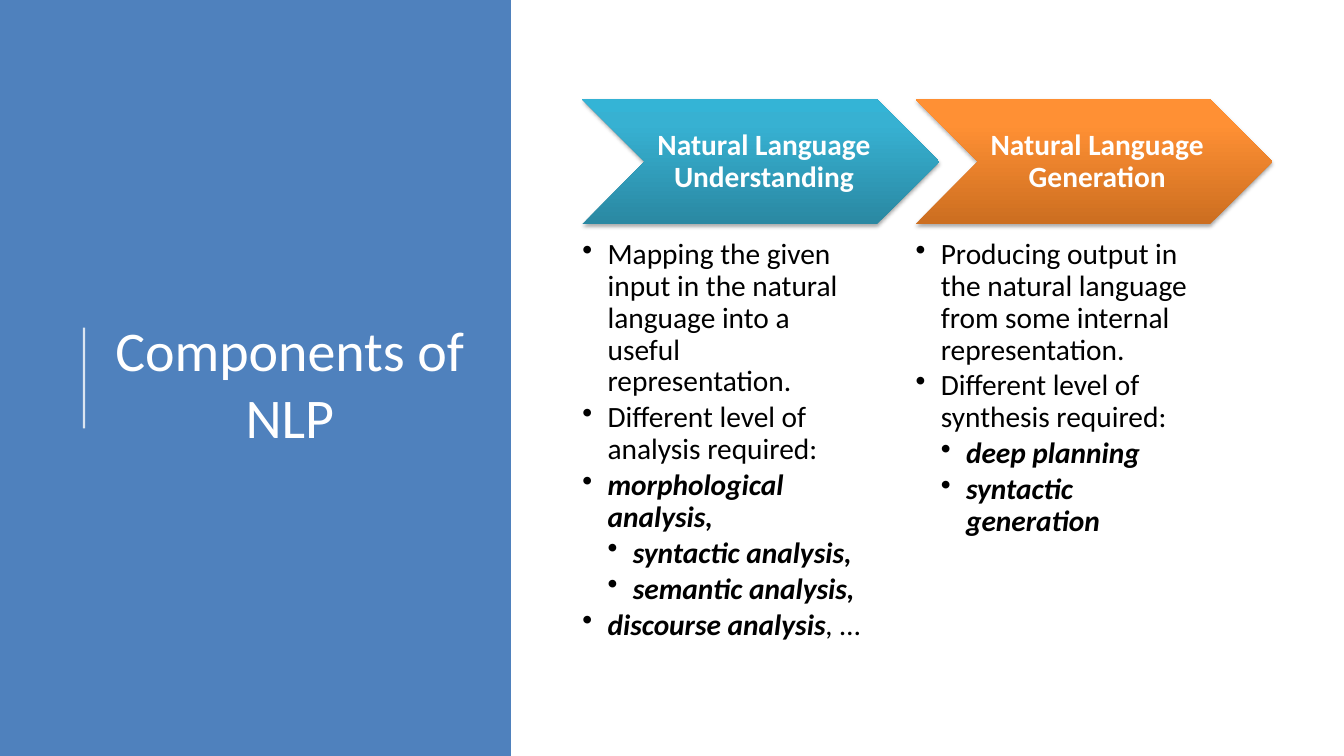
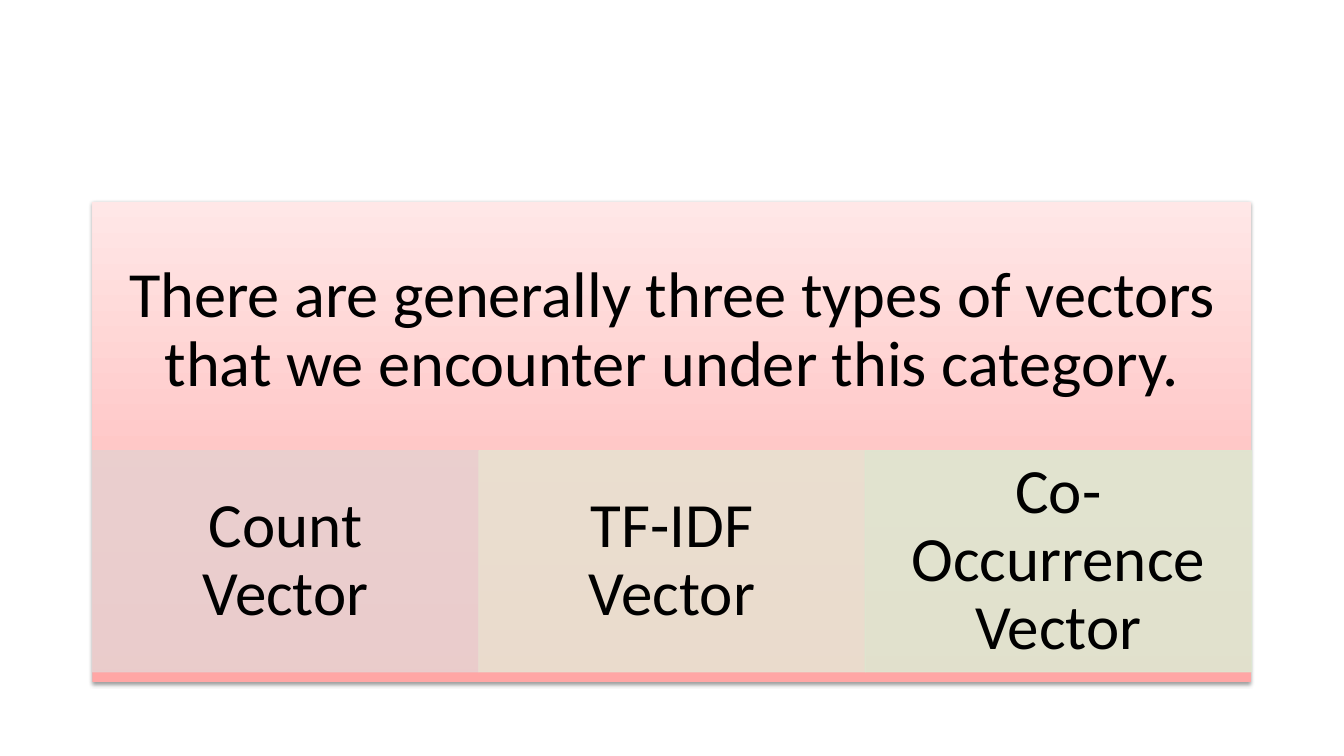
from lxml.etree import SubElement
from pptx import Presentation
from pptx.dml.color import RGBColor
from pptx.enum.shapes import MSO_CONNECTOR, MSO_SHAPE
from pptx.enum.text import MSO_ANCHOR, PP_ALIGN
from pptx.oxml.ns import qn
from pptx.util import Pt

FONT = "Calibri"
WHITE = RGBColor(0xFF, 0xFF, 0xFF)
BLACK = RGBColor(0x00, 0x00, 0x00)
BLUE = RGBColor(0x4F, 0x81, 0xBD)
ROSE = RGBColor(0xE8, 0xD0, 0xD0)
SAND = RGBColor(0xE8, 0xE1, 0xD1)
SAGE = RGBColor(0xDE, 0xE7, 0xD1)
TEAL_STOPS = [(0, RGBColor(0x2A, 0x88, 0xA2)), (80, RGBColor(0x37, 0xB1, 0xD2)),
              (100, RGBColor(0x34, 0xB4, 0xD6))]
ORANGE_STOPS = [(0, RGBColor(0xCC, 0x6E, 0x20)), (80, RGBColor(0xFF, 0x90, 0x34)),
                (100, RGBColor(0xFF, 0x91, 0x36))]
PINK_STOPS = [(0, RGBColor(0xFF, 0xA6, 0xA5)), (35, RGBColor(0xFF, 0xC0, 0xBF)),
              (100, RGBColor(0xFF, 0xE7, 0xE7))]


def add_block(page, kind, bounds, text, size, color, insets, bold=False):
    """Add a borderless preset shape with one centred paragraph.

    bounds is left, top, width, height; insets is left, top, right, bottom.
    """
    shape = page.shapes.add_shape(kind, *map(Pt, bounds))
    shape.shadow.inherit = False
    shape.line.fill.background()
    frame = shape.text_frame
    frame.word_wrap = True
    frame.vertical_anchor = MSO_ANCHOR.MIDDLE
    frame.margin_left, frame.margin_top, frame.margin_right, frame.margin_bottom = map(Pt, insets)
    para = frame.paragraphs[0]
    para.alignment = PP_ALIGN.CENTER
    para.line_spacing = 0.9
    span = para.add_run()
    span.text = text
    span.font.name, span.font.size, span.font.bold = FONT, Pt(size), bold
    span.font.color.rgb = color
    return shape


def add_gradient_and_shadow(shape, stops, shadow_opacity):
    """Fill from bottom to top with the stops and cast a soft shadow downwards."""
    shape.fill.gradient()
    shape.fill.gradient_angle = 90
    properties = shape._element.spPr
    stop_list = properties.find(".//" + qn("a:gsLst"))
    for old_stop in list(stop_list):
        stop_list.remove(old_stop)
    for percent, color in stops:
        stop = SubElement(stop_list, qn("a:gs"), pos=str(percent * 1000))
        SubElement(stop, qn("a:srgbClr"), val=str(color))
    shadow = SubElement(properties.find(qn("a:effectLst")), qn("a:outerShdw"),
                        blurRad=str(Pt(3.1)), dist=str(Pt(1.7)), dir="5400000", rotWithShape="0")
    shade = SubElement(shadow, qn("a:srgbClr"), val=str(BLACK))
    SubElement(shade, qn("a:alpha"), val=str(shadow_opacity * 1000))


deck = Presentation()
deck.slide_width, deck.slide_height = Pt(960), Pt(540)
title_only, blank = deck.slide_layouts[5], deck.slide_layouts[6]

# Slide 1: components of NLP
page = deck.slides.add_slide(title_only)
band = page.shapes.add_shape(MSO_SHAPE.RECTANGLE, 0, 0, Pt(365), deck.slide_height)
band.shadow.inherit = False
band.fill.solid()
band.fill.fore_color.rgb = BLUE
band.line.fill.background()
page.shapes._spTree.insert(2, band._element)  # behind the title

rule = page.shapes.add_connector(MSO_CONNECTOR.STRAIGHT, Pt(60), Pt(306), Pt(60), Pt(234))
rule.line.color.rgb = WHITE
rule.line.width = Pt(1.5)
SubElement(rule._element.spPr.find(".//" + qn("a:srgbClr")), qn("a:alpha"), val="80000")
SubElement(rule._element.spPr, qn("a:effectLst"))

title = page.shapes.title
title.left, title.top, title.width, title.height = Pt(74), Pt(56), Pt(266), Pt(434)
title.text_frame.vertical_anchor = MSO_ANCHOR.MIDDLE
para = title.text_frame.paragraphs[0]
para.alignment = PP_ALIGN.CENTER
span = para.add_run()
span.text = "Components of NLP"
span.font.name, span.font.size = FONT, Pt(40)
span.font.color.rgb = WHITE

# Each bullet: indent level, then runs of (text, bold, italic)
components = [
    ("Natural Language Understanding", TEAL_STOPS, [
        (0, [("Mapping the given input in the natural language into a useful representation.", False, False)]),
        (0, [("Different level of analysis required:", False, False)]),
        (0, [("morphological analysis,", True, True)]),
        (1, [("syntactic analysis,", True, True)]),
        (1, [("semantic analysis,", True, True)]),
        (0, [("discourse analysis", True, True), (",", False, True), (" …", False, False)]),
    ]),
    ("Natural Language Generation", ORANGE_STOPS, [
        (0, [("Producing output in the natural language from some internal representation.", False, False)]),
        (0, [("Different level of synthesis required:", False, False)]),
        (1, [("deep planning", True, True)]),
        (1, [("syntactic generation", True, True)]),
    ]),
]
for column, (heading, stops, bullets) in enumerate(components):
    left = 416 + column * 238
    chevron = add_block(page, MSO_SHAPE.CHEVRON, (left, 71, 255, 89), heading, 21, WHITE,
                        (6.5, 2, 2, 2), bold=True)
    add_gradient_and_shadow(chevron, stops, 35)

    box = page.shapes.add_textbox(Pt(left), Pt(171), Pt(204), Pt(297))
    frame = box.text_frame
    frame.word_wrap = True
    frame.margin_left = frame.margin_top = frame.margin_right = frame.margin_bottom = 0
    for number, (level, runs) in enumerate(bullets):
        para = frame.add_paragraph() if number else frame.paragraphs[0]
        para.level = level
        para.line_spacing = 0.9
        para.space_after = Pt(3)
        layout = para._p.get_or_add_pPr()
        layout.set("marL", str(Pt(18 * (level + 1))))
        layout.set("indent", str(-Pt(18)))
        SubElement(layout, qn("a:buChar"), char="•")
        for text, bold, italic in runs:
            span = para.add_run()
            span.text = text
            span.font.name, span.font.size = FONT, Pt(21)
            span.font.bold, span.font.italic = bold, italic
            span.font.color.rgb = BLACK

# Slide 2: types of vectors
page = deck.slides.add_slide(blank)
panel_height, heading_height = 343, 185
panel = add_block(page, MSO_SHAPE.RECTANGLE, (66, 144, 828, panel_height),
                  "There are generally three types of vectors that we encounter under this category.",
                  46, BLACK, (26, 26, 26, panel_height - heading_height + 26))
add_gradient_and_shadow(panel, PINK_STOPS, 38)

vectors = [("Count Vector", ROSE), ("TF-IDF Vector", SAND), ("Co-Occurrence Vector", SAGE)]
for column, (name, color) in enumerate(vectors):
    card = add_block(page, MSO_SHAPE.RECTANGLE, (66 + column * 276, 322, 276, 158),
                     name, 45, BLACK, (25, 4, 25, 4))
    card.fill.solid()
    card.fill.fore_color.rgb = color
    card.line.color.rgb = color
    card.line.width = Pt(0.75)
    for tint in card._element.spPr.iter(qn("a:srgbClr")):
        SubElement(tint, qn("a:alpha"), val="90000")

deck.save("out.pptx")
